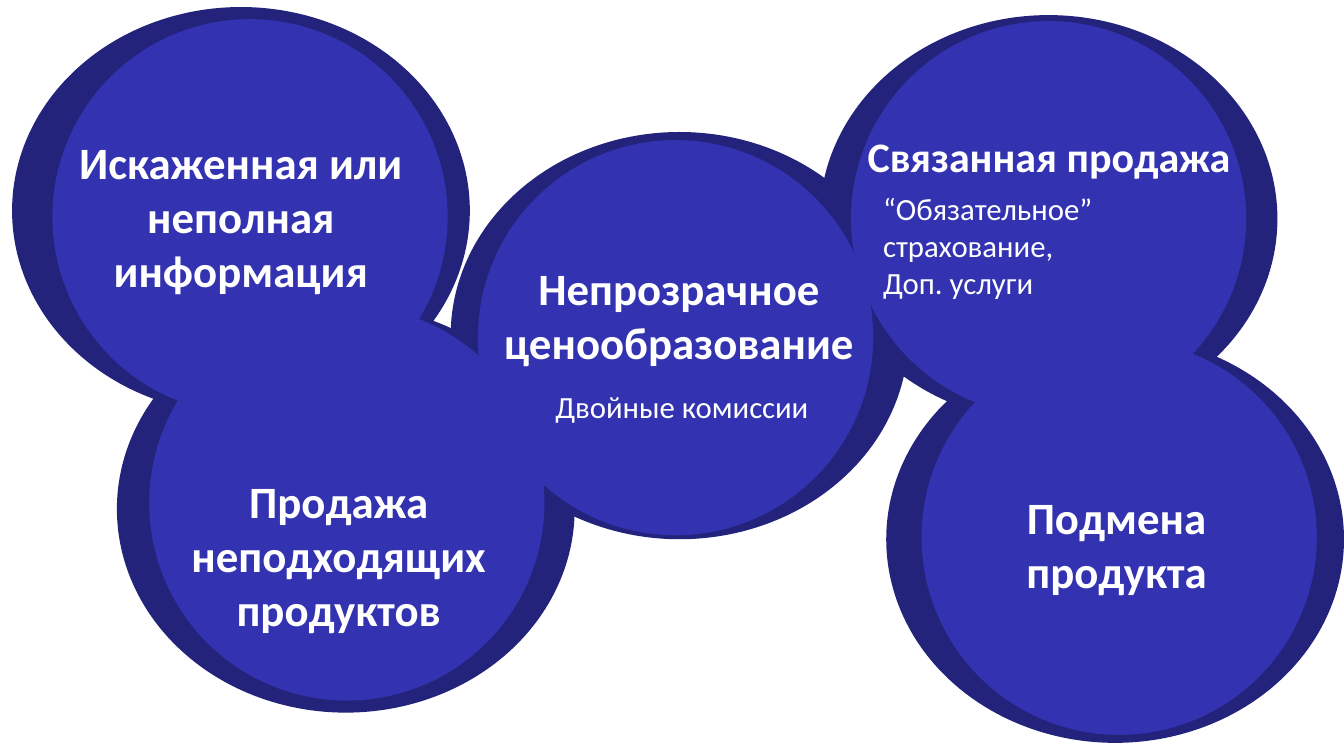
from pptx import Presentation
from pptx.dml.color import RGBColor
from pptx.enum import shapes, text
from pptx.util import Inches, Pt

NAVY, BLUE, WHITE = "23237B", "3333B2", "FFFFFF"
RIM_SIZE = (4.54, 4.04)
FACE_SIZE = (3.92, 3.92)


def color(hex_code):
    return RGBColor.from_string(hex_code)


def add_text(lines, left, top, width, height, size=32, bold=True,
             align=text.PP_ALIGN.CENTER):
    box = slide.shapes.add_textbox(
        Inches(left), Inches(top), Inches(width), Inches(height))
    frame = box.text_frame
    frame.word_wrap = True
    frame.text = "\n".join(lines)
    for paragraph in frame.paragraphs:
        paragraph.alignment = align
        font = paragraph.font
        font.name, font.size, font.bold = "Calibri", Pt(size), bold
        font.color.rgb = color(WHITE)


prs = Presentation()
prs.slide_width, prs.slide_height = Inches(13.33), Inches(7.5)
slide = prs.slides.add_slide(prs.slide_layouts[6])

# Dark rims lie behind all the lighter faces
rims = [(0.12, 0.07), (1.16, 3.03), (4.47, 1.31), (8.13, 0.15), (8.79, 3.33)]
faces = [(0.52, 0.19), (1.48, 3.03), (4.74, 1.39), (8.44, 0.21), (9.14, 3.37)]
for corners, size, fill in ((rims, RIM_SIZE, NAVY), (faces, FACE_SIZE, BLUE)):
    for corner in corners:
        circle = slide.shapes.add_shape(
            shapes.MSO_SHAPE.OVAL, *map(Inches, corner + size))
        circle.shadow.inherit = False
        circle.fill.solid()
        circle.fill.fore_color.rgb = color(fill)
        circle.line.fill.background()

# Practice names
add_text(["Связанная продажа"], 8.37, 1.25, 4.07, 0.61, size=30)
for practice, left, top, width, height in (
    ("Искаженная или неполная информация", 0.6, 1.29, 3.58, 1.72),
    ("Продажа неподходящих продуктов", 1.57, 4.65, 3.58, 1.72),
    ("Непрозрачное ценообразование", 4.84, 2.54, 3.79, 1.18),
    ("Подмена продукта", 9.18, 4.81, 3.79, 1.18),
):
    add_text([practice], left, top, width, height)

# Examples
for examples, left, top, width, height in (
    (["“Обязательное” страхование,", "Доп. услуги"], 8.66, 1.83, 3.58, 1.21),
    (["Двойные комиссии"], 5.41, 3.8, 2.76, 0.47),
):
    add_text(examples, left, top, width, height, size=22, bold=False,
             align=text.PP_ALIGN.LEFT)

prs.save("out.pptx")
